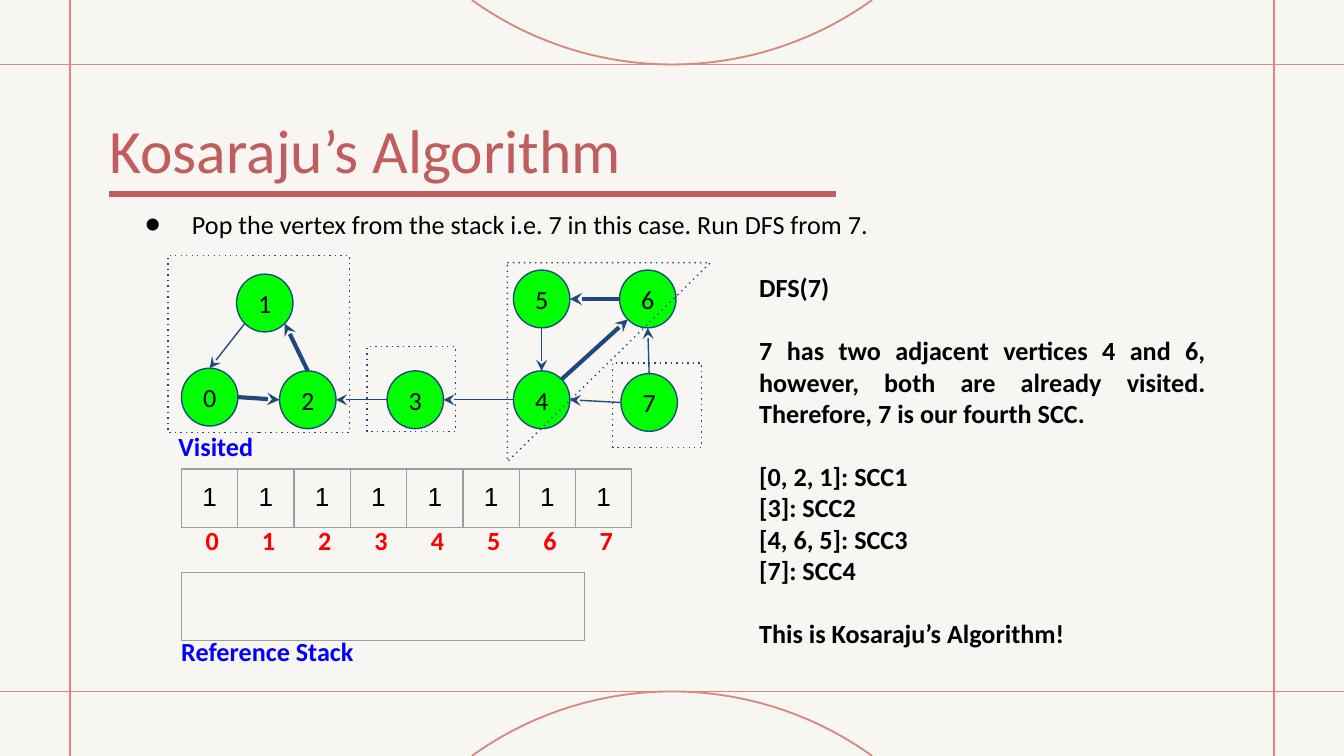
import math
import pptx
import pptx.dml.color
import pptx.enum.dml
import pptx.enum.shapes
import pptx.enum.text
import pptx.util
from lxml import etree
from pptx.oxml.ns import qn


class Theme:
    page, frame, brand = "F8F6F2", "D8897E", "C25D5D"
    node, ink, edge = "00FF00", "000000", "1F497D"
    label, index, grid = "0000FF", "FF0000", "9E9E9E"
    font, mono = "Calibri", "Arial"
    head, body, gap = 33, 14, 17
    thin, rule, bold, bar = 0.75, 1, 2.25, 3


TITLE = "Kosaraju’s Algorithm"
STEP = "Pop the vertex from the stack i.e. 7 in this case. Run DFS from 7."
NOTES = [
    ["DFS(7)"],
    ["7 has two adjacent vertices 4 and 6, however, both are already visited. "
     "Therefore, 7 is our fourth SCC."],
    ["[0, 2, 1]: SCC1", "[3]: SCC2", "[4, 6, 5]: SCC3", "[7]: SCC4"],
    ["This is Kosaraju’s Algorithm!"],
]
VISITED = ["1"] * 8
NODES = {
    "0": (13.5, 27.4), "2": (20.8, 27.6), "1": (17.6, 20.4), "3": (28.8, 27.6),
    "4": (38.2, 27.6), "7": (46.2, 27.8), "6": (46.1, 20.1), "5": (38.2, 20.1),
}
EDGES = [
    ("0", "E", "2", "W", Theme.bold), ("3", "W", "2", "E", Theme.thin),
    ("4", "W", "3", "E", Theme.thin), ("5", "S", "4", "N", Theme.thin),
    ("6", "W", "5", "E", Theme.bold), ("7", "N", "6", "S", Theme.thin),
    ("4", "NE", "6", "SW", Theme.bold), ("7", "W", "4", "E", Theme.thin),
    ("2", "N", "1", "SE", Theme.bold), ("1", "SW", "0", "N", Theme.thin),
]
KIND = pptx.enum.shapes.MSO_SHAPE
GROUPS = [
    (KIND.RECTANGLE, 12.5, 19, 13.5, 13.2, 0),
    (KIND.RECTANGLE, 27.3, 25.8, 6.6, 6.3, 0),
    (KIND.RIGHT_TRIANGLE, 37.9, 19.4, 14.8, 15.1, 90),
    (KIND.RECTANGLE, 45.6, 27, 6.6, 6.3, 0),
]
WIDE, TALL = 100, 56.25
SIDE, TOP = 5.2, 4.8
DIAM, HIGH, CELL = 4.2, 4.3, 4.19
ARC = 25.5
WINDS = ["E", "SE", "S", "SW", "W", "NW", "N", "NE"]
ALIGN = pptx.enum.text.PP_ALIGN

deck = pptx.Presentation()
deck.slide_width = pptx.util.Inches(10)
UNIT = deck.slide_width / WIDE
deck.slide_height = round(TALL * UNIT)
slide = deck.slides.add_slide(deck.slide_layouts[5])
shapes = slide.shapes


def cells(*sizes):
    return [round(size * UNIT) for size in sizes]


def tint(name):
    return pptx.dml.color.RGBColor.from_string(name)


def stroke(line, color, width):
    line.color.rgb = tint(color)
    line.width = pptx.util.Pt(width)


def style(para, color, bold=False, size=Theme.body, font=Theme.font, align=None):
    para.alignment = align
    for run in para.runs:
        run.font.name, run.font.size = font, pptx.util.Pt(size)
        run.font.bold, run.font.color.rgb = bold, tint(color)


def inset(frame, size=1):
    frame.word_wrap = True
    frame.margin_left = frame.margin_right = cells(size)[0]
    frame.margin_top = frame.margin_bottom = cells(size)[0]


def write(spot, text, color, bold=False):
    frame = shapes.add_textbox(*cells(*spot)).text_frame
    inset(frame)
    frame.text = text
    style(frame.paragraphs[0], color, bold)
    return frame


def link(start, end, color, width, arrow=False):
    wire = shapes.add_connector(
        pptx.enum.shapes.MSO_CONNECTOR.STRAIGHT, *cells(*start, *end))
    stroke(wire.line, color, width)
    props = wire.element.spPr
    if arrow:
        etree.SubElement(props.find(qn("a:ln")), qn("a:tailEnd"), type="stealth")
    etree.SubElement(props, qn("a:effectLst"))


def port(name, wind):
    left, top = NODES[name]
    turn = WINDS.index(wind) * math.pi / 4
    return (left + DIAM / 2 * (1 + math.cos(turn)),
            top + HIGH / 2 * (1 + math.sin(turn)))


def arc(peak, sign):
    half = math.acos((ARC - TOP) / ARC)
    turns = [half * step / 30 for step in range(-30, 31)]
    dots = [cells(WIDE / 2 + ARC * math.sin(turn),
                  peak + sign * ARC * (1 - math.cos(turn))) for turn in turns]
    build = shapes.build_freeform(*dots[0])
    build.add_line_segments(dots[1:], close=False)
    curve = build.convert_to_shape()
    curve.shadow.inherit = False
    curve.fill.background()
    stroke(curve.line, Theme.frame, Theme.rule)


def table(top, cols, wide, high, texts):
    grid = shapes.add_table(1, cols, *cells(13.5, top, cols * wide, high)).table
    grid.first_row = grid.horz_banding = False
    grid.rows[0].height = cells(high)[0]
    for col, cell in zip(grid.columns, grid.iter_cells()):
        col.width = cells(wide)[0]
        cell.margin_left = cell.margin_right = cells(1)[0]
        cell.margin_top = cell.margin_bottom = cells(1)[0]
        props = cell._tc.get_or_add_tcPr()
        for side in "LRTB":
            line = etree.SubElement(
                props, qn("a:ln" + side), w=str(pptx.util.Pt(Theme.thin)))
            fill = etree.SubElement(line, qn("a:solidFill"))
            etree.SubElement(fill, qn("a:srgbClr"), val=Theme.grid)
        cell.fill.background()
    for cell, text in zip(grid.iter_cells(), texts):
        cell.text = text
        style(cell.text_frame.paragraphs[0], Theme.ink,
              font=Theme.mono, align=ALIGN.CENTER)


slide.background.fill.solid()
slide.background.fill.fore_color.rgb = tint(Theme.page)
for row in (TALL - TOP, TOP):
    link((0, row), (WIDE, row), Theme.frame, Theme.rule)
for col in (WIDE - SIDE, SIDE):
    link((col, 0), (col, TALL), Theme.frame, Theme.rule)
arc(TOP, -1)
arc(TALL - TOP, 1)
link((8.1, 14.46), (62.2, 14.46), Theme.brand, Theme.bar)

title = shapes.title
title.left, title.top, title.width, title.height = cells(8.15, 8.3, 46.2, 5.6)
inset(title.text_frame, 0)
title.text_frame.vertical_anchor = pptx.enum.text.MSO_ANCHOR.TOP
title.text_frame.text = TITLE
style(title.text_frame.paragraphs[0], Theme.brand, size=Theme.head, align=ALIGN.LEFT)

for name, spot in NODES.items():
    node = shapes.add_shape(KIND.OVAL, *cells(*spot, DIAM, HIGH))
    node.shadow.inherit = False
    node.fill.solid()
    node.fill.fore_color.rgb = tint(Theme.node)
    stroke(node.line, Theme.edge, Theme.thin)
    inset(node.text_frame)
    node.text_frame.vertical_anchor = pptx.enum.text.MSO_ANCHOR.MIDDLE
    node.text_frame.text = name
    style(node.text_frame.paragraphs[0], Theme.ink, align=ALIGN.CENTER)
for start, out, end, into, width in EDGES:
    link(port(start, out), port(end, into), Theme.edge, width, True)

table(42.6, 1, 30, 4.4, [])
write((12.5, 46.3, 16.8, 5.8), "Reference Stack", Theme.label, True)
table(34.9, len(VISITED), CELL, HIGH, VISITED)
write((12.3, 31, 8, 5.8), "Visited", Theme.label, True)
marks = "".join(f"\t{num}" for num in range(len(VISITED)))
para = write((13.5, 38, 47.1, 4.4), marks, Theme.index, True).paragraphs[0]
tabs = etree.SubElement(para._p.get_or_add_pPr(), qn("a:tabLst"))
for num in range(len(VISITED)):
    etree.SubElement(tabs, qn("a:tab"), pos=str(cells(1.3 + num * CELL)[0]), algn="ctr")

frame = write((55.5, 19.2, 35.2, 30.3), "", Theme.ink)
for num, block in enumerate(NOTES):
    for row, text in enumerate(block):
        para = frame.add_paragraph() if num or row else frame.paragraphs[0]
        para.text = text
        style(para, Theme.ink, True, align=ALIGN.JUSTIFY)
        if num and not row:
            para.space_before = pptx.util.Pt(Theme.gap)

for kind, left, top, wide, high, turn in GROUPS:
    group = shapes.add_shape(kind, *cells(left, top, wide, high))
    group.rotation = turn
    group.shadow.inherit = False
    group.fill.background()
    stroke(group.line, Theme.edge, Theme.thin)
    group.line.dash_style = pptx.enum.dml.MSO_LINE.ROUND_DOT
    group.element.spPr.find(qn("a:ln")).find(qn("a:prstDash")).set("val", "dot")

para = write((8.3, 14.5, 71.9, 4.4), STEP, Theme.ink).paragraphs[0]
props = para._p.get_or_add_pPr()
props.set("marL", str(cells(5)[0]))
props.set("indent", str(cells(-3.5)[0]))
color = etree.SubElement(props, qn("a:buClr"))
etree.SubElement(color, qn("a:srgbClr"), val=Theme.ink)
etree.SubElement(props, qn("a:buSzPts"), val=str(Theme.body * 100))
etree.SubElement(props, qn("a:buFont"), typeface=Theme.font)
etree.SubElement(props, qn("a:buChar"), char="●")

deck.save("out.pptx")
